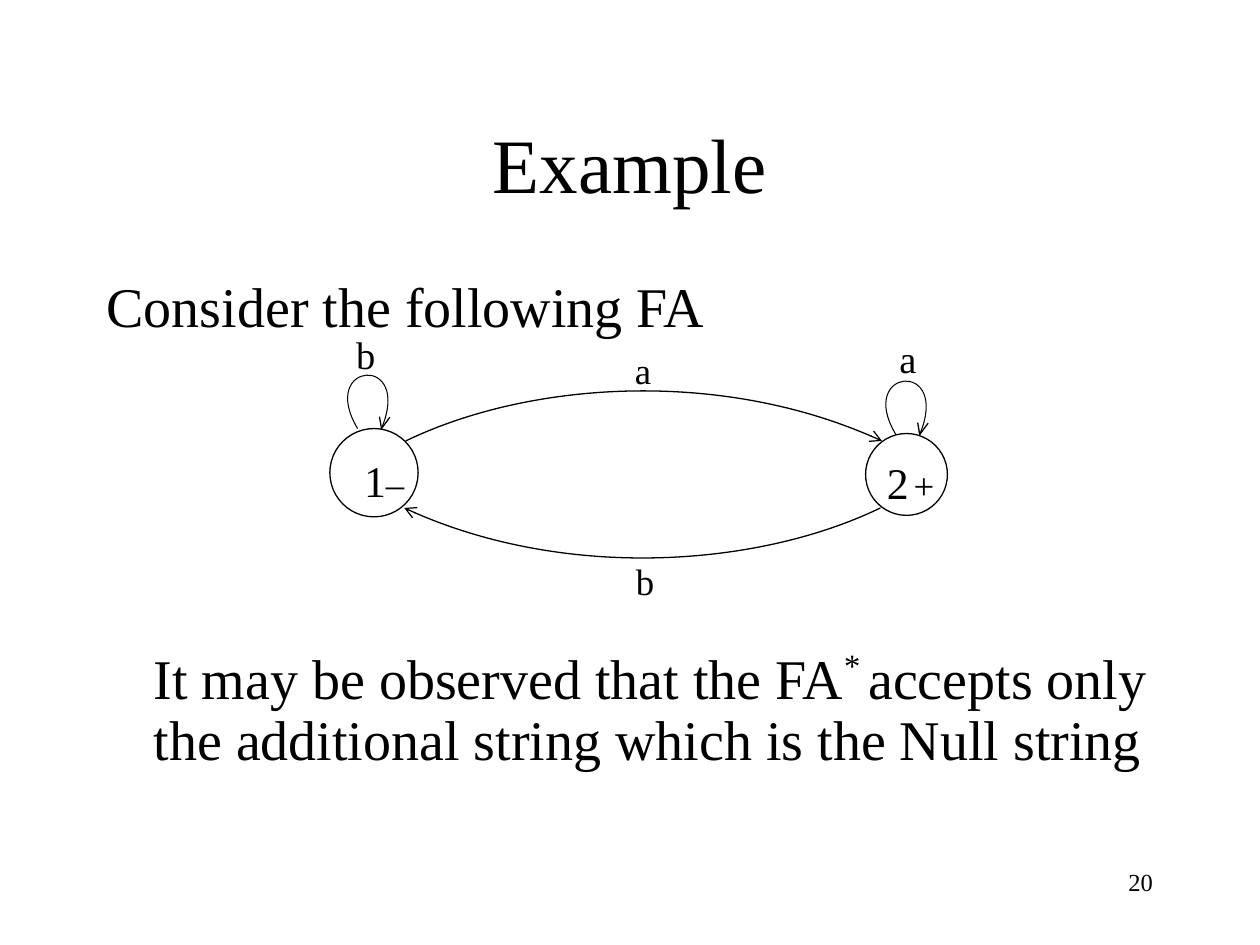
import pptx
import pptx.util
import pptx.dml.color
import pptx.enum.shapes
import pptx.enum.text
import pptx.oxml
import pptx.oxml.ns
from dataclasses import dataclass
from pptx.util import Cm

COLORS = {"ink": "000000", "paper": "FFFFFF"}
FONT = "Times New Roman"
ALIGN = pptx.enum.text.PP_ALIGN
LOOP = [(0, 0), (-0.81, -1.35), (1.12, -1.52), (0.48, 0)]
BARBS = [(0.17, -0.23), (-0.04, -0.24)]


@dataclass
class Run:
    text: str
    size: float
    base: int = 0


@dataclass
class Para:
    runs: list[Run]
    indent: float = 0
    before: float = 0


@dataclass
class State:
    left: float
    top: float
    size: float
    runs: list[Run]
    text_at: tuple[float, float]
    loop_at: tuple[float, float]


@dataclass
class Label:
    text: str
    size: float
    left: float
    top: float


@dataclass
class Arc:
    points: list[tuple[float, float]]


STATES = [
    State(6.65, 8.64, 1.78, [Run("1", 25), Run("–", 21)], (7.09, 9.02), (7.21, 8.64)),
    State(17.45, 8.74, 1.65, [Run("2", 25), Run(" ", 11), Run("+", 21)],
          (17.63, 9.07), (18.06, 8.76)),
]
LABELS = [
    Label("a", 22, 17.88, 6.63),
    Label("b", 22, 6.93, 6.55),
    Label("a", 21, 12.55, 6.88),
    Label("b", 21, 12.57, 11.13),
]
ARCS = [
    Arc([(8.18, 8.89), (10.64, 7.7), (14.6, 7.42), (17.78, 8.89)]),
    Arc([(17.75, 10.24), (15.29, 11.43), (11.3, 11.71), (8.15, 10.24)]),
]


def color(name: str) -> pptx.dml.color.RGBColor:
    return pptx.dml.color.RGBColor.from_string(COLORS[name])


def write(slide, paras: list[Para], left: float, top: float, width: float,
          height: float, *, align=ALIGN.LEFT, middle: bool = False,
          spacing: float = 1.0) -> None:
    box = slide.shapes.add_textbox(Cm(left), Cm(top), Cm(width), Cm(height))
    frame = box.text_frame
    frame.word_wrap = True
    if middle:
        frame.vertical_anchor = pptx.enum.text.MSO_ANCHOR.MIDDLE
    for index, item in enumerate(paras):
        para = frame.add_paragraph() if index else frame.paragraphs[0]
        para.alignment = align
        para.line_spacing = spacing
        para.space_before = pptx.util.Pt(item.before)
        if item.indent:
            para._p.get_or_add_pPr().set("marL", str(Cm(item.indent)))
        for part in item.runs:
            run = para.add_run()
            run.text = part.text
            run.font.name = FONT
            run.font.size = pptx.util.Pt(part.size)
            run.font.color.rgb = color("ink")
            if part.base:
                run._r.get_or_add_rPr().set("baseline", str(part.base * 1000))


def stroke(shape, width: float) -> None:
    shape.line.color.rgb = color("ink")
    shape.line.width = pptx.util.Pt(width)


def curve(slide, points: list[tuple[float, float]], width: float, arrow: bool = False) -> None:
    first, *rest = [(Cm(x), Cm(y)) for x, y in points]
    form = slide.shapes.build_freeform(*first)
    form.add_line_segments(rest, close=False)
    shape = form.convert_to_shape()
    shape.shadow.inherit = False
    shape.fill.background()
    stroke(shape, width)
    tag = pptx.oxml.ns.qn
    path = next(shape._element.iter(tag("a:path")))
    bend = path.makeelement(tag("a:cubicBezTo"), {})
    for line in path.findall(tag("a:lnTo")):
        bend.append(line[0])
        path.remove(line)
    path.append(bend)
    if arrow:
        edge = shape.line._get_or_add_ln()
        edge.append(edge.makeelement(tag("a:tailEnd"), {"type": "arrow"}))


def segment(slide, start: tuple[float, float], end: tuple[float, float]) -> None:
    kind = pptx.enum.shapes.MSO_CONNECTOR.STRAIGHT
    line = slide.shapes.add_connector(kind, *[Cm(v) for v in (*start, *end)])
    stroke(line, 0.75)
    props = line._element.spPr
    props.append(props.makeelement(pptx.oxml.ns.qn("a:effectLst"), {}))


def draw_state(slide, state: State) -> None:
    oval = slide.shapes.add_shape(
        pptx.enum.shapes.MSO_SHAPE.OVAL,
        Cm(state.left), Cm(state.top), Cm(state.size), Cm(state.size))
    oval.shadow.inherit = False
    oval.fill.solid()
    oval.fill.fore_color.rgb = color("paper")
    stroke(oval, 0.75)
    write(slide, [Para(state.runs)], *state.text_at, 2.2, 1.3)
    x, y = state.loop_at
    loop = [(x + dx, y + dy) for dx, dy in LOOP]
    curve(slide, loop, 0.6)
    tip = loop[-1]
    for dx, dy in BARBS:
        segment(slide, tip, (tip[0] + dx, tip[1] + dy))


def main() -> None:
    deck = pptx.Presentation()
    deck.slide_width, deck.slide_height = Cm(25.4), Cm(19.05)
    slide = deck.slides.add_slide(deck.slide_layouts[6])
    write(slide, [Para([Run("20", 14)])], 18.21, 17.35, 5.28, 1.27, align=ALIGN.RIGHT)
    write(slide, [Para([Run("Example", 44)])], 1.9, 1.7, 21.59, 3.18,
          align=ALIGN.CENTER, middle=True)
    body = [
        Para([Run("Consider the following FA", 32)]),
        Para([Run("It may be observed that the FA", 32), Run("* ", 32, 40),
              Run("accepts only the additional string which is the Null string", 32)],
             indent=0.95, before=178),
    ]
    write(slide, body, 1.9, 5.51, 21.59, 11.43, spacing=0.9)
    for state in STATES:
        draw_state(slide, state)
    for arc in ARCS:
        curve(slide, arc.points, 0.75, arrow=True)
    for label in LABELS:
        write(slide, [Para([Run(label.text, label.size)])], label.left, label.top, 1.2, 1.2)
    deck.save("out.pptx")


if __name__ == "__main__":
    main()
